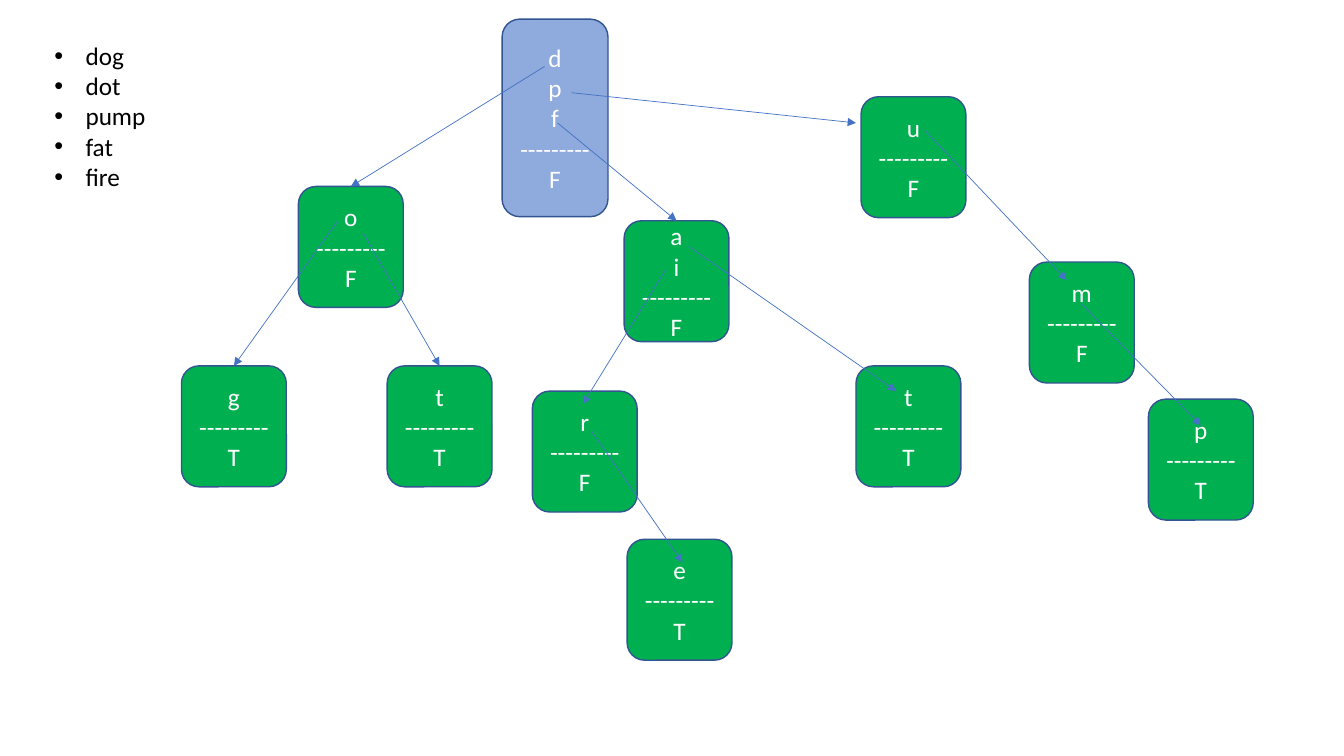
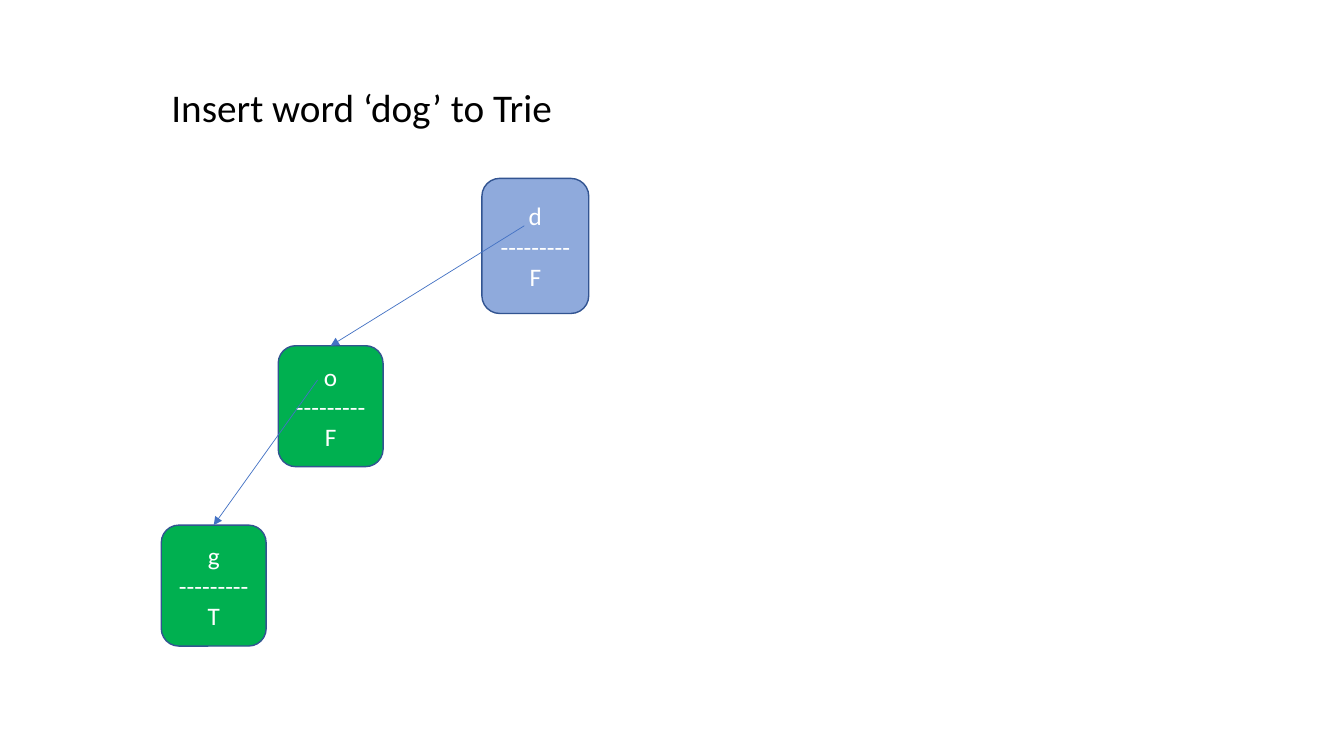
from dataclasses import dataclass
from typing import Any

import lxml.etree
import pptx
import pptx.dml.color
import pptx.enum.shapes
import pptx.enum.text
import pptx.oxml.ns
import pptx.util

Inches = pptx.util.Inches
Pt = pptx.util.Pt
qn = pptx.oxml.ns.qn

COLORS = {
    "root": "8FAADC",
    "node": "00B050",
    "edge": "325491",
    "arrow": "4472C4",
    "light": "FFFFFF",
    "dark": "000000",
}
BASE = {"name": "Calibri", "size": Pt(18)}
TITLE = {"name": "Calibri", "size": Pt(28)}
DASHES = "-" * 9
INDENT = Inches(0.31)
WORDS = ["dog", "dot", "pump", "fat", "fire"]


@dataclass
class Node:
    key: str  # prefix that leads to the node
    keys: str  # letters held by the node
    left: float
    top: float
    width: float = 1.04
    height: float = 1.2
    word: bool = False  # whether the prefix is a whole word
    fill: str = "node"


@dataclass
class Arrow:
    """Runs to the middle of the goal's top side, or to (to_x, to_y) if given."""
    x: float
    y: float
    goal: str
    to_x: float | None = None
    to_y: float | None = None


NODES = [
    Node("", "dpf", 4.98, 0.19, 1.05, 1.96, fill="root"),
    Node("d", "o", 2.96, 1.85),
    Node("do", "g", 1.8, 3.63, word=True),
    Node("do2", "t", 3.84, 3.63, word=True),
    Node("f", "ai", 6.19, 2.19),
    Node("p", "u", 8.54, 0.96),
    Node("fa", "t", 8.49, 3.63, word=True),
    Node("fi", "r", 5.28, 3.88),
    Node("fir", "e", 6.22, 5.35, word=True),
    Node("pu", "m", 10.21, 2.6),
    Node("pum", "p", 11.39, 3.96, word=True),
]
ARROWS = [
    Arrow(5.4, 0.66, "d"),
    Arrow(3.35, 2.19, "do"),
    Arrow(3.6, 2.31, "do2"),
    Arrow(5.53, 1.22, "f"),
    Arrow(6.84, 2.45, "fa", 8.89, 3.88),
    Arrow(6.6, 2.68, "fi", 5.78, 4.01),
    Arrow(5.87, 4.28, "fir", 6.77, 5.58),
    Arrow(5.67, 0.92, "p", 8.49, 1.22),
    Arrow(9.17, 1.29, "pu", 10.58, 2.78),
    Arrow(10.73, 3.02, "pum", 11.91, 4.22),
]
# The chain for one word is the same tree branch, moved as a whole.
CHAIN = [Node("", "d", 4.98, 0.19, 1.06, 1.34, fill="root"), *NODES[1:3]]
SHIFT = (-0.2, 1.58)


def rgb(name: str) -> pptx.dml.color.RGBColor:
    return pptx.dml.color.RGBColor.from_string(COLORS[name])


def write(frame: Any, lines: list[str], style: dict, color: str,
          align: Any = pptx.enum.text.PP_ALIGN.LEFT) -> None:
    frame.text = "\n".join(lines)
    for para in frame.paragraphs:
        para.alignment = align
        for run in para.runs:
            for attr, value in style.items():
                setattr(run.font, attr, value)
            run.font.color.rgb = rgb(color)


def draw_node(slide: Any, node: Node, dx: float, dy: float) -> Any:
    shape = slide.shapes.add_shape(
        pptx.enum.shapes.MSO_SHAPE.ROUNDED_RECTANGLE,
        Inches(node.left + dx), Inches(node.top + dy),
        Inches(node.width), Inches(node.height))
    shape.shadow.inherit = False
    shape.fill.solid()
    shape.fill.fore_color.rgb = rgb(node.fill)
    shape.line.color.rgb = rgb("edge")
    shape.line.width = Pt(1)
    frame = shape.text_frame
    frame.word_wrap = True
    frame.vertical_anchor = pptx.enum.text.MSO_ANCHOR.MIDDLE
    write(frame, [*node.keys, DASHES, "T" if node.word else "F"],
          BASE, "light", pptx.enum.text.PP_ALIGN.CENTER)
    return shape


def draw_arrow(slide: Any, arrow: Arrow, goal: Any, dx: float, dy: float) -> None:
    start = Inches(arrow.x + dx), Inches(arrow.y + dy)
    joined = arrow.to_x is None or arrow.to_y is None
    end = start if joined else (Inches(arrow.to_x + dx), Inches(arrow.to_y + dy))
    line = slide.shapes.add_connector(
        pptx.enum.shapes.MSO_CONNECTOR.STRAIGHT, *start, *end)
    if joined:
        line.end_connect(goal, 0)
    line.line.color.rgb = rgb("arrow")
    line.line.width = Pt(0.5)
    props = line._element.spPr
    lxml.etree.SubElement(props.find(qn("a:ln")), qn("a:tailEnd"), type="triangle")
    lxml.etree.SubElement(props, qn("a:effectLst"))


def draw_trie(slide: Any, nodes: list[Node], dx: float = 0, dy: float = 0) -> None:
    shapes = {node.key: draw_node(slide, node, dx, dy) for node in nodes}
    for arrow in ARROWS:
        if arrow.goal in shapes:
            draw_arrow(slide, arrow, shapes[arrow.goal], dx, dy)


def draw_words(slide: Any) -> None:
    box = slide.shapes.add_textbox(
        Inches(0.44), Inches(0.35), Inches(1.12), Inches(1.62))
    frame = box.text_frame
    frame.word_wrap = False
    frame.auto_size = pptx.enum.text.MSO_AUTO_SIZE.SHAPE_TO_FIT_TEXT
    write(frame, WORDS, BASE, "dark")
    for para in frame.paragraphs:
        props = para._p.get_or_add_pPr()
        props.set("marL", str(INDENT))
        props.set("indent", str(-INDENT))
        lxml.etree.SubElement(props, qn("a:buFont"), typeface="Arial")
        lxml.etree.SubElement(props, qn("a:buChar"), char="•")


def draw_title(slide: Any, text: str) -> None:
    title = slide.shapes.title
    place = {"left": 1.6, "top": 0.78, "width": 4.02, "height": 0.57}
    for attr, value in place.items():
        setattr(title, attr, Inches(value))
    frame = title.text_frame
    form = {
        "word_wrap": False,
        "auto_size": pptx.enum.text.MSO_AUTO_SIZE.SHAPE_TO_FIT_TEXT,
        "vertical_anchor": pptx.enum.text.MSO_ANCHOR.TOP,
    }
    for attr, value in form.items():
        setattr(frame, attr, value)
    write(frame, [text], TITLE, "dark")


def main() -> None:
    deck = pptx.Presentation()
    deck.slide_width = Inches(13.33)
    deck.slide_height = Inches(7.5)
    titled, blank = deck.slide_layouts[5], deck.slide_layouts[6]

    tree = deck.slides.add_slide(blank)
    draw_trie(tree, NODES)
    draw_words(tree)

    chain = deck.slides.add_slide(titled)
    draw_title(chain, "Insert word ‘dog’ to Trie")
    draw_trie(chain, CHAIN, *SHIFT)

    deck.save("out.pptx")


if __name__ == "__main__":
    main()
